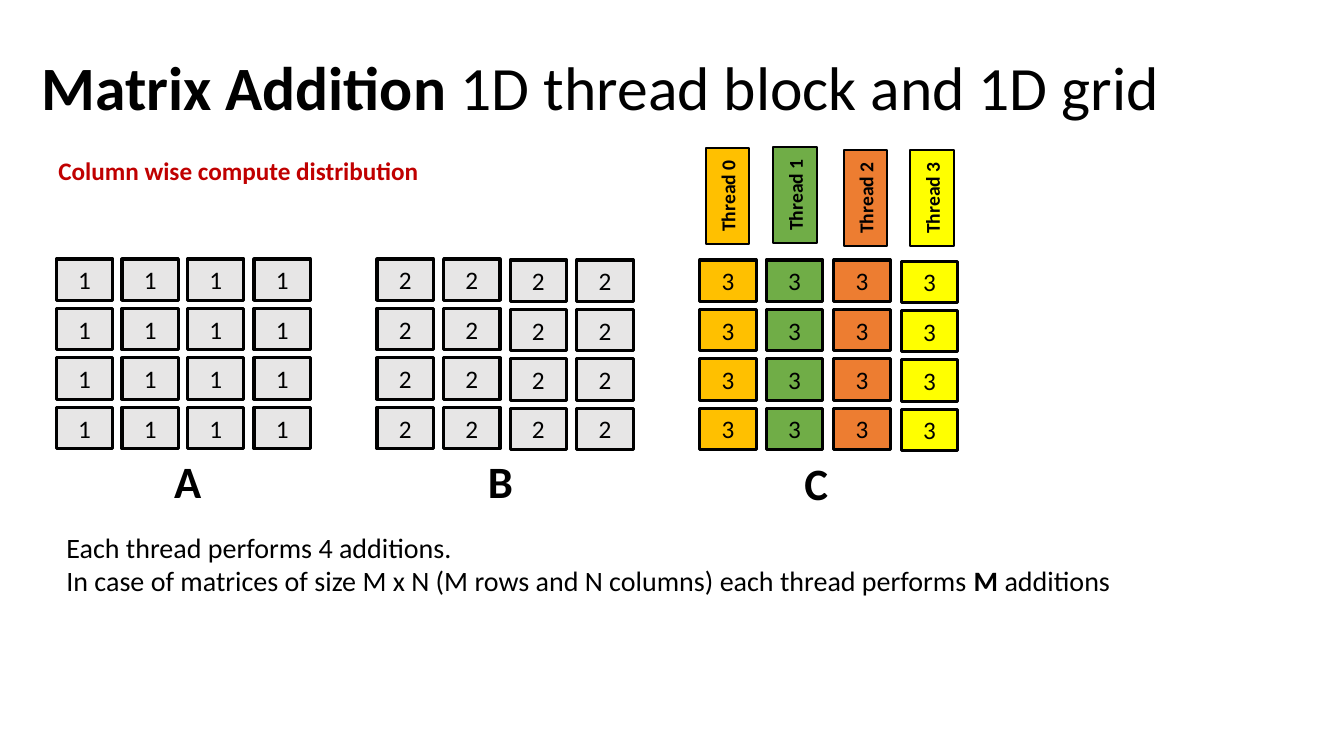
"""Build the slide on column-wise matrix addition with one thread per column."""
from pptx import Presentation, util as u
from pptx.dml.color import RGBColor
from pptx.enum import shapes, text

PX = 9144
THEME = {
    "font": "Calibri", "ink": "000000", "cell": "E7E6E6", "accent": "C00000",
    "threads": ["FFC000", "70AD47", "ED7D31", "FFFF00"],
    "title": 44, "letter": 32, "note": 20, "body": 18, "tag": 14,
    "border": 2.25, "thin": 1.5,
}
GREY = [THEME["cell"]] * 4
SIZE = (1333, 750)
TITLE = [("Matrix Addition ", True), ("1D thread block and 1D grid", False)]
LEAD = [[("Column wise compute distribution", True)]]
NOTES = [
    [("Each thread performs 4 additions.", False)],
    [("In case of matrices of size M x N (M rows and N columns) each thread performs ", False),
     ("M ", True), ("additions", False)],
]
MATRICES = [
    {"name": "A", "value": "1", "left": 56, "span": 196, "tops": [257] * 4,
     "fills": GREY, "label": (163, 445, 47, 64)},
    {"name": "B", "value": "2", "left": 374, "span": 198, "tops": [257, 257, 258, 258],
     "fills": GREY, "label": (474, 445, 45, 64)},
    {"name": "C", "value": "3", "left": 694, "span": 200, "tops": [258, 258, 258, 259],
     "fills": THEME["threads"], "label": (788, 447, 45, 64)},
]
THREADS = [("Thread 0", 674, 173), ("Thread 1", 741, 172),
           ("Thread 2", 811, 175), ("Thread 3", 877, 175)]
ROWS, PITCH = 4, 49
CELL = (56, 41)
TAG = (95, 43)


def emu(box):
    return [n * PX for n in box]


def write(frame, lines, size, color="ink", align=text.PP_ALIGN.LEFT):
    for i, runs in enumerate(lines):
        para = frame.paragraphs[0] if i == 0 else frame.add_paragraph()
        para.alignment = align
        para.font.name = THEME["font"]
        para.font.size = u.Pt(THEME[size])
        para.font.color.rgb = RGBColor.from_string(THEME[color])
        if len(runs) == 1:
            para.font.bold = runs[0][1]
        for words, bold in runs:
            run = para.add_run()
            run.text = words
            if len(runs) > 1:
                run.font.bold = bold


def add_text(slide, box, lines, size, color="ink", wrap=True):
    frame = slide.shapes.add_textbox(*emu(box)).text_frame
    frame.word_wrap = wrap
    write(frame, lines, size, color)


def add_box(parent, box, fill, border, words, size, bold=False):
    shape = parent.add_shape(shapes.MSO_SHAPE.RECTANGLE, *emu(box))
    shape.shadow.inherit = False
    shape.fill.solid()
    shape.fill.fore_color.rgb = RGBColor.from_string(fill)
    shape.line.color.rgb = RGBColor.from_string(THEME["ink"])
    shape.line.width = u.Pt(THEME[border])
    shape.text_frame.vertical_anchor = text.MSO_ANCHOR.MIDDLE
    write(shape.text_frame, [[(words, bold)]], size, align=text.PP_ALIGN.CENTER)
    return shape


def add_matrix(slide, matrix):
    group = slide.shapes.add_group_shape()
    for col, (top, fill) in enumerate(zip(matrix["tops"], matrix["fills"])):
        left = matrix["left"] + col * matrix["span"] // 3
        for row in range(ROWS):
            box = (left, top + row * PITCH, *CELL)
            add_box(group.shapes, box, fill, "border", matrix["value"], "body")
    add_text(slide, matrix["label"], [[(matrix["name"], True)]], "letter", wrap=False)


def main():
    deck = Presentation()
    deck.slide_width, deck.slide_height = emu(SIZE)
    slide = deck.slides.add_slide(deck.slide_layouts[5])

    title = slide.shapes.title
    title.left, title.top, title.width, title.height = emu((31, 17, 1150, 145))
    title.text_frame.auto_size = text.MSO_AUTO_SIZE.NONE
    title.text_frame.vertical_anchor = text.MSO_ANCHOR.MIDDLE
    write(title.text_frame, [TITLE], "title")
    title.text_frame.paragraphs[0].line_spacing = 0.9

    for matrix in MATRICES:
        add_matrix(slide, matrix)
    for (name, left, top), fill in zip(THREADS, THEME["threads"]):
        tag = add_box(slide.shapes, (left, top, *TAG), fill, "thin", name, "tag", True)
        tag.rotation = 270
    add_text(slide, (48, 149, 380, 40), LEAD, "body", "accent")
    add_text(slide, (56, 521, 1065, 77), NOTES, "note")
    deck.save("out.pptx")


if __name__ == "__main__":
    main()
